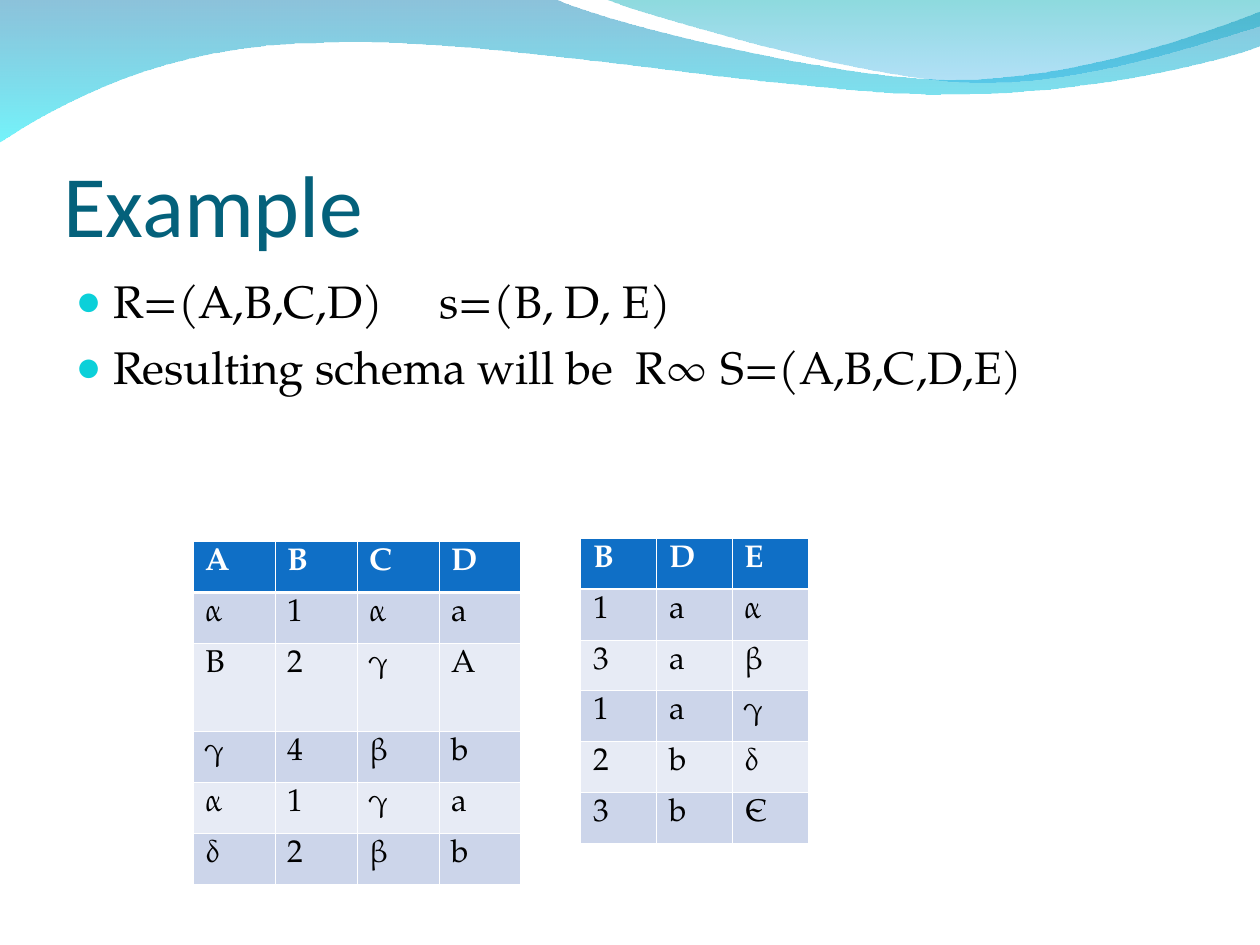
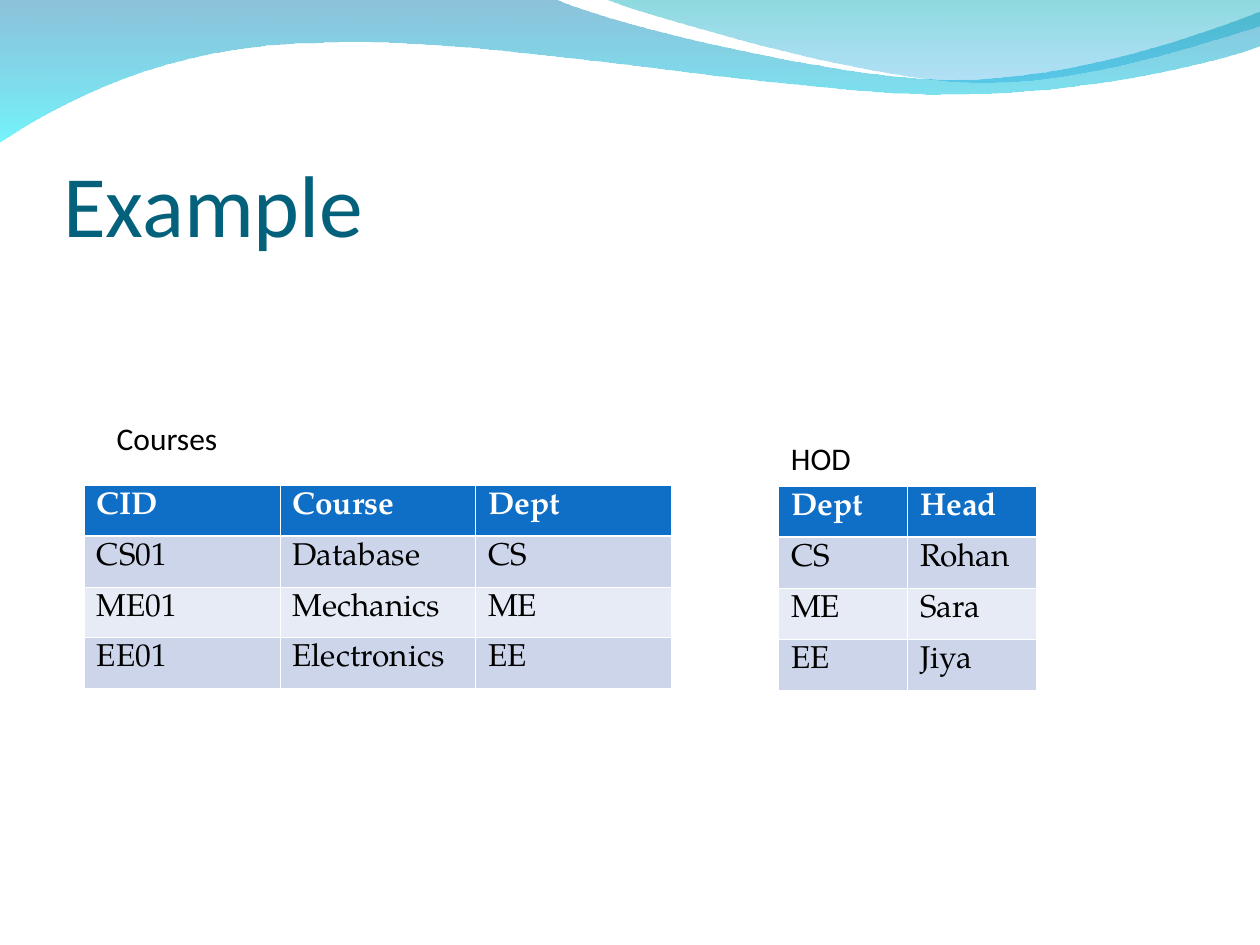
from dataclasses import dataclass
from itertools import chain

from lxml.etree import SubElement
from pptx import Presentation
from pptx.dml.color import RGBColor
from pptx.enum.text import MSO_ANCHOR, MSO_AUTO_SIZE, PP_ALIGN
from pptx.oxml import parse_xml
from pptx.oxml.ns import nsdecls, qn
from pptx.util import Pt


@dataclass(frozen=True)
class Theme:
    heading_font: str = "Calibri"
    body_font: str = "TeX Gyre Pagella"
    title_size: float = 50
    list_size: float = 26
    table_size: float = 18
    title: str = "04617B"
    text: str = "000000"
    white: str = "FFFFFF"
    bullet: str = "0BD0D9"
    header: str = "0F6FC6"
    bands: tuple = ("CCD5EA", "E7EBF5")
    grid_line: float = 0.45
    header_line: float = 1.47
    row_height: float = 29.1


WAVES = [
    (
        (0, -0.7),
        [
            [(316.8, -0.7)],
            [(342.7, 12.2), (478.1, 45.4), (545.8, 45.4)],
            [(614.2, 45.4), (689.8, 18.7), (720, 6.5)],
            [(720.7, 25.9)],
            [(707.8, 31.7), (626.4, 54.7), (537.1, 54)],
            [(447.8, 54), (275, 20.2), (185, 24.5)],
            [(92.9, 25.2), (33.1, 59.8), (-0.7, 81.4)],
            [(0, -0.7)],
        ],
        [("0079AF", 45), ("00EBF8", 55)],
    ),
    (
        (344.9, -0.7),
        [
            [(366.5, 7.9), (491, 44.6), (553.7, 46.8)],
            [(616.3, 49.7), (691.9, 23), (720, 15.1)],
            [(720, 0)],
            [(344.9, -0.7)],
        ],
        [("00ADB6", 45), ("009BE5", 30)],
    ),
]


def bend(freeform, segments):
    lines = iter(list(freeform.element.iter(qn("a:lnTo"))))
    for segment in segments:
        group = [next(lines) for _ in segment]
        if len(group) == 3:
            curve = parse_xml(f'<a:cubicBezTo {nsdecls("a")}/>')
            group[0].addprevious(curve)
            for line in group:
                curve.append(line[0])
                line.getparent().remove(line)


class Deck:
    def __init__(self, theme):
        self.theme = theme
        self.prs = Presentation()
        self.prs.slide_width, self.prs.slide_height = Pt(720), Pt(540)
        self.slide = None

    def add_slide(self, layout, heading):
        self.slide = self.prs.slides.add_slide(self.prs.slide_layouts[layout])
        if len(self.prs.slides) == 1:
            self.waves()
        self.title(heading)

    def waves(self):
        master_tree = self.prs.slide_master.shapes.element
        for index, (start, segments, colours) in enumerate(WAVES):
            builder = self.slide.shapes.build_freeform(Pt(start[0]), Pt(start[1]))
            points = [(Pt(x), Pt(y)) for x, y in chain(*segments)]
            builder.add_line_segments(points, close=True)
            wave = builder.convert_to_shape()
            bend(wave, segments)
            wave.shadow.inherit = False
            wave.line.fill.background()
            wave.fill.gradient()
            wave.fill.gradient_angle = 270
            for stop, (colour, _) in zip(wave.fill.gradient_stops, colours):
                stop.color.rgb = RGBColor.from_string(colour)
            for clr, (_, opacity) in zip(wave.element.iter(qn("a:srgbClr")), colours):
                SubElement(clr, qn("a:alpha"), val=str(opacity * 1000))
            wave.element.nvSpPr.cNvPr.id = 20 + index
            master_tree.insert(2 + index, wave.element)

    def place(self, holder, left, top, width, height):
        holder.left, holder.top = Pt(left), Pt(top)
        holder.width, holder.height = Pt(width), Pt(height)
        holder.text_frame.auto_size = MSO_AUTO_SIZE.NONE
        return holder.text_frame

    def run(self, paragraph, words, font, size, colour, bold=False):
        run = paragraph.add_run()
        run.text = words
        run.font.name = font
        run.font.size = Pt(size)
        run.font.bold = bold
        run.font.color.rgb = RGBColor.from_string(colour)

    def title(self, heading):
        frame = self.place(self.slide.shapes.title, 36, 55.8, 648, 90)
        frame.vertical_anchor = MSO_ANCHOR.BOTTOM
        frame.margin_left = frame.margin_right = frame.margin_bottom = 0
        frame.margin_top = Pt(3.6)
        frame.paragraphs[0].alignment = PP_ALIGN.LEFT
        theme = self.theme
        self.run(frame.paragraphs[0], heading, theme.heading_font, theme.title_size, theme.title)

    def bullets(self, items):
        theme = self.theme
        frame = self.place(self.slide.placeholders[1], 36, 152.6, 648, 345.6)
        for index, (parts, tab) in enumerate(items):
            paragraph = frame.add_paragraph() if index else frame.paragraphs[0]
            props = paragraph._p.get_or_add_pPr()
            props.set("marL", str(Pt(21.5)))
            props.set("indent", str(Pt(-21.5)))
            for xml in (
                f'<a:buClr {nsdecls("a")}><a:srgbClr val="{theme.bullet}"/></a:buClr>',
                f'<a:buSzPct {nsdecls("a")} val="95000"/>',
                f'<a:buChar {nsdecls("a")} char="●"/>',
                f'<a:tabLst {nsdecls("a")}><a:tab pos="{Pt(tab)}" algn="l"/></a:tabLst>',
            ):
                props.append(parse_xml(xml))
            paragraph.space_before = Pt(6.5 if index else 0)
            self.run(paragraph, "\t".join(parts), theme.body_font, theme.list_size, theme.text)

    def label(self, words, left, top):
        box = self.slide.shapes.add_textbox(Pt(left), Pt(top), Pt(90.7), Pt(28.8))
        box.text_frame.word_wrap = True
        theme = self.theme
        self.run(box.text_frame.paragraphs[0], words, theme.heading_font, theme.table_size, theme.text)

    def borders(self, cell, row):
        theme = self.theme
        widths = dict.fromkeys(("lnL", "lnR", "lnT", "lnB"), theme.grid_line)
        if row < 2:
            widths["lnT" if row else "lnB"] = theme.header_line
        props = cell._tc.get_or_add_tcPr()
        for index, (side, width) in enumerate(widths.items()):
            props.insert(index, parse_xml(
                f'<a:{side} {nsdecls("a")} w="{Pt(width)}"><a:solidFill>'
                f'<a:srgbClr val="{theme.white}"/></a:solidFill></a:{side}>'
            ))

    def table(self, relation, left, top, column_width, tall_rows=None):
        theme = self.theme
        rows, columns = len(relation), len(relation[0])
        heights = [(tall_rows or {}).get(row, theme.row_height) for row in range(rows)]
        grid = self.slide.shapes.add_table(
            rows, columns, Pt(left), Pt(top), Pt(column_width * columns), Pt(sum(heights))
        ).table
        grid.horz_banding = False
        for column in grid.columns:
            column.width = Pt(column_width)
        for row, values in enumerate(relation):
            grid.rows[row].height = Pt(heights[row])
            is_header = row == 0
            fill = theme.header if is_header else theme.bands[(row - 1) % 2]
            colour = theme.white if is_header else theme.text
            for column, value in enumerate(values):
                cell = grid.cell(row, column)
                cell.fill.solid()
                cell.fill.fore_color.rgb = RGBColor.from_string(fill)
                self.borders(cell, row)
                self.run(cell.text_frame.paragraphs[0], value, theme.body_font,
                         theme.table_size, colour, is_header)


def main():
    deck = Deck(Theme())

    deck.add_slide(1, "Example")
    deck.bullets([
        (["R=(A,B,C,D)", "s=(B, D, E)"], 208),
        (["Resulting schema will be", "R∞ S=(A,B,C,D,E)"], 320),
    ])
    relation_r = ["ABCD", "α1αa", "Β2γA", "γ4βb", "α1γa", "δ2βb"]
    relation_s = ["BDE", "1aα", "3aβ", "1aγ", "2bδ", "3bЄ"]
    deck.table(relation_r, 110.4, 309.5, 46.8, tall_rows={2: 50.4})
    deck.table(relation_s, 331.7, 307.5, 43.4)

    deck.add_slide(5, "Example")
    courses = [
        ("CID", "Course", "Dept"),
        ("CS01", "Database", "CS"),
        ("ME01", "Mechanics", "ME"),
        ("EE01", "Electronics", "EE"),
    ]
    heads = [("Dept", "Head"), ("CS", "Rohan"), ("ME", "Sara"), ("EE", "Jiya")]
    deck.table(courses, 48.2, 277.2, 111.8)
    deck.table(heads, 444.9, 277.9, 73.7)
    deck.label("Courses", 59.6, 235.8)
    deck.label("HOD", 444.9, 247.3)

    deck.prs.save("out.pptx")


if __name__ == "__main__":
    main()
